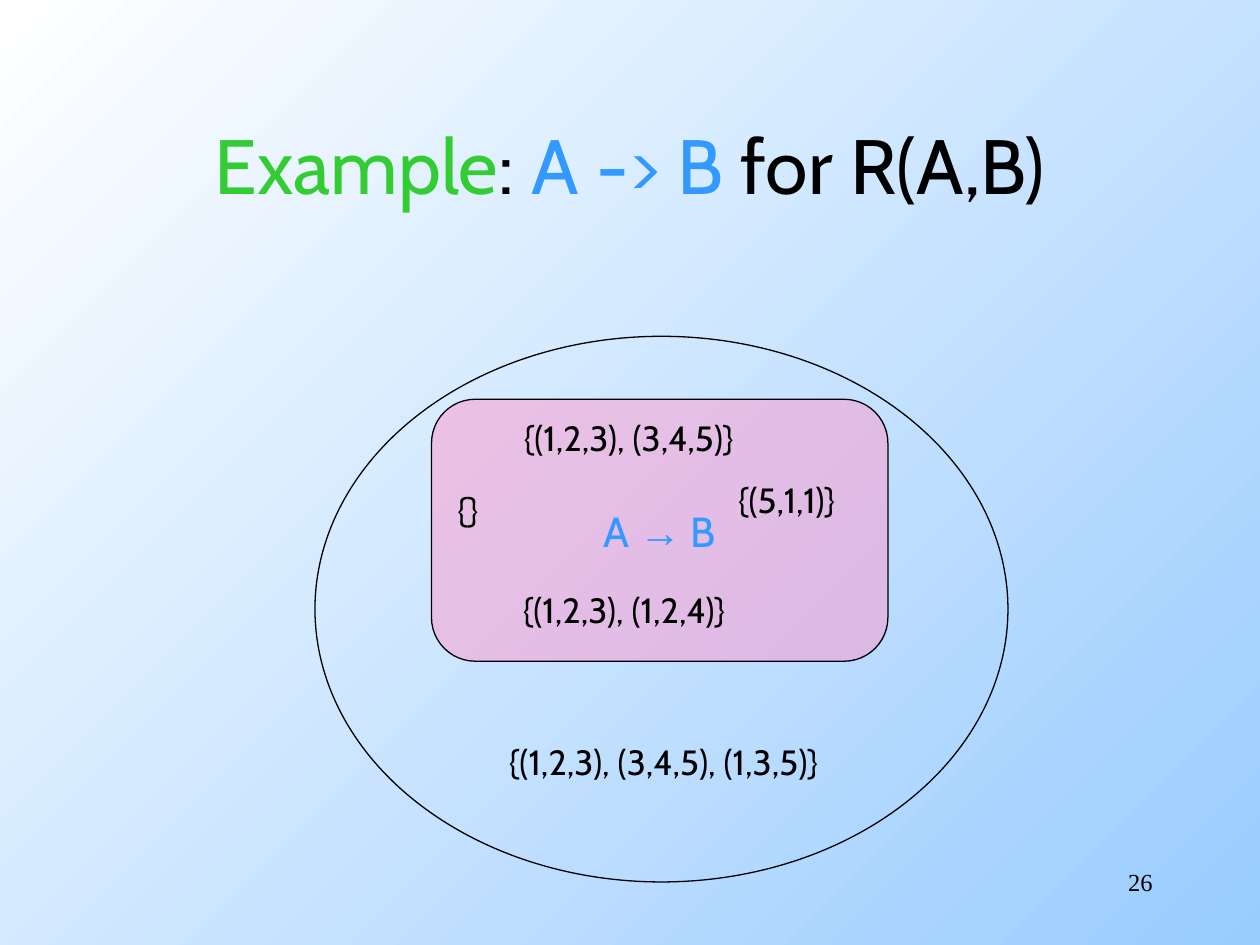
from pptx import Presentation
from pptx.dml.color import RGBColor
from pptx.enum.shapes import MSO_SHAPE as Kind
from pptx.enum.text import MSO_ANCHOR as Anchor, MSO_AUTO_SIZE as Fit, PP_ALIGN as Align
from pptx.oxml.ns import qn
from pptx.util import Cm, Pt
from lxml.etree import SubElement

BLACK = RGBColor(0x00, 0x00, 0x00)
WHITE = RGBColor(0xFF, 0xFF, 0xFF)
GREEN = RGBColor(0x33, 0xCC, 0x33)
BLUE = RGBColor(0x33, 0x99, 0xFF)
SKY = RGBColor(0x99, 0xCC, 0xFF)
PINK = RGBColor(0xFF, 0x99, 0xCC)
FONT = "Cabin"

# Relation instances: left, top, width in cm, and text
SETS = [
    (10.31, 8.28, 5.44, "{(1,2,3), (3,4,5)}"),
    (8.97, 9.73, 1.04, "{}"),
    (10.01, 14.81, 7.82, "{(1,2,3), (3,4,5), (1,3,5)}"),
    (14.63, 9.53, 3.05, "{(5,1,1)}"),
    (10.29, 11.73, 5.44, "{(1,2,3), (1,2,4)}"),
]


def box(*nums):
    return [Cm(num) for num in nums]


def write(frame, runs, size, align=Align.LEFT):
    """Add runs of (text, colour, font) to the first paragraph."""
    para = frame.paragraphs[0]
    para.alignment = align
    for text, color, face in runs:
        run = para.add_run()
        run.text = text
        run.font.size = Pt(size)
        run.font.name = face
        run.font.color.rgb = color


def paint(slide):
    fill = slide.background.fill
    fill.gradient()
    fill.gradient_angle = 315
    for stop, color in zip(fill.gradient_stops, (WHITE, SKY)):
        stop.color.rgb = color


def add_title(slide, runs):
    title = slide.shapes.title
    title.left, title.top, title.width, title.height = box(1.9, 1.7, 21.6, 3.18)
    frame = title.text_frame
    frame.vertical_anchor = Anchor.MIDDLE
    frame.auto_size = Fit.NONE
    write(frame, runs, 44, Align.CENTER)


def add_shape(slide, kind, place, color=None, alpha=100):
    shape = slide.shapes.add_shape(kind, *box(*place))
    shape.shadow.inherit = False
    shape.line.color.rgb = BLACK
    shape.line.width = Pt(0.74)
    if color is None:
        shape.fill.background()
    else:
        shape.fill.solid()
        shape.fill.fore_color.rgb = color
        tone = shape.fill._xPr.find(qn("a:solidFill"))[0]
        SubElement(tone, qn("a:alpha"), val=str(alpha * 1000))
    return shape


def add_label(slide, place, text, size=20, face=FONT, align=Align.LEFT, wrap=False):
    frame = slide.shapes.add_textbox(*box(*place)).text_frame
    frame.word_wrap = wrap
    frame.auto_size = Fit.NONE if wrap else Fit.SHAPE_TO_FIT_TEXT
    write(frame, [(text, BLACK, face)], size, align)


def main():
    deck = Presentation()
    deck.slide_width, deck.slide_height = box(25.4, 19.05)
    slide = deck.slides.add_slide(deck.slide_layouts[5])
    paint(slide)

    # Page number and title
    add_label(slide, (18.21, 17.35, 5.28, 1.27), "26", 14,
              "Times New Roman", Align.RIGHT, True)
    add_title(slide, [("Example", GREEN, FONT), (": ", BLACK, FONT),
                      ("A -> B", BLUE, FONT), (" for R(A,B)", BLACK, FONT)])

    # Instances that satisfy the dependency, inside all instances
    inner = add_shape(slide, Kind.ROUNDED_RECTANGLE, (8.7, 8.05, 9.2, 5.28), PINK, 50)
    inner.adjustments[0] = 0.167
    frame = inner.text_frame
    frame.word_wrap = False
    frame.vertical_anchor = Anchor.MIDDLE
    write(frame, [("A ", BLUE, FONT), ("→", BLUE, "Arial"), (" B", BLUE, FONT)],
          24, Align.CENTER)
    add_shape(slide, Kind.OVAL, (6.35, 6.78, 13.97, 11))

    for left, top, width, text in SETS:
        add_label(slide, (left, top, width, 1.12), text)

    deck.save("out.pptx")


main()
